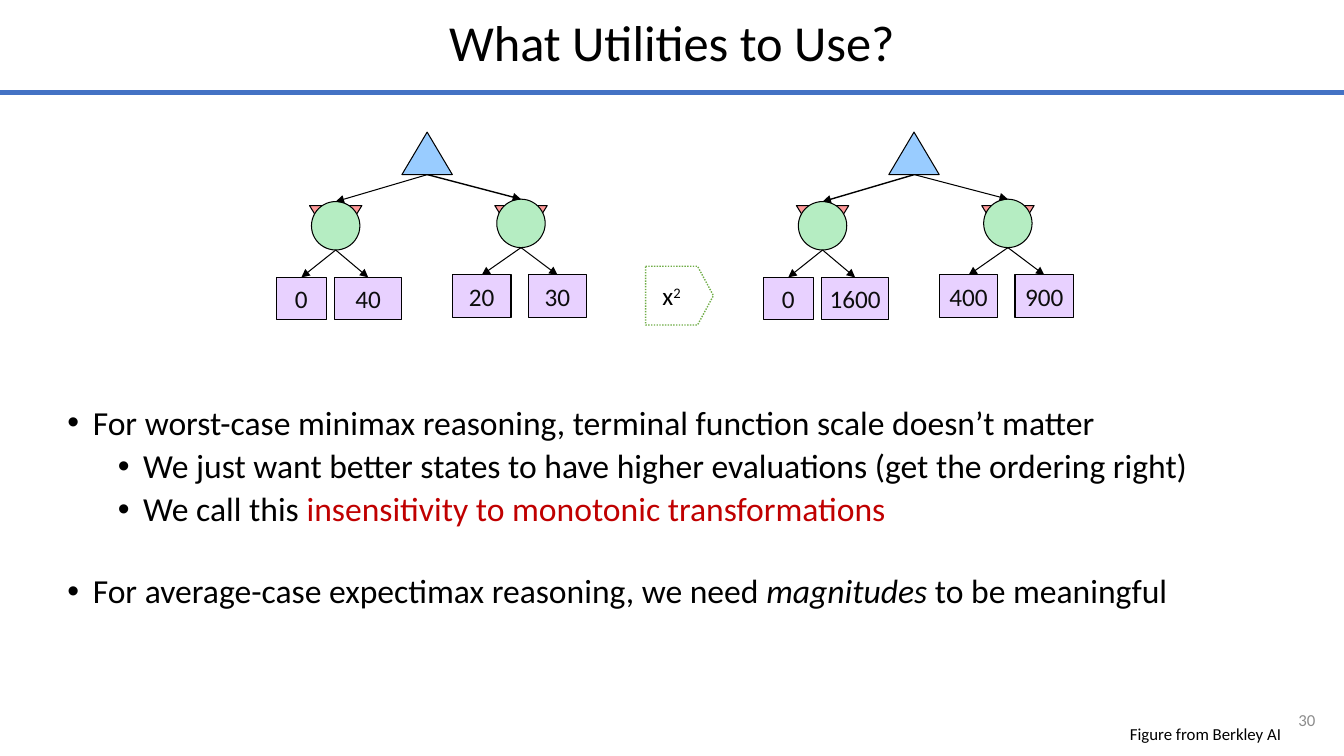
from lxml.etree import SubElement
from pptx import Presentation
from pptx.dml.color import RGBColor
from pptx.enum.dml import MSO_LINE
from pptx.enum.shapes import MSO_CONNECTOR, MSO_SHAPE
from pptx.enum.text import MSO_ANCHOR, PP_ALIGN
from pptx.oxml.ns import qn
from pptx.util import Cm, Pt

COLORS = {
    "black": "000000",
    "leaf text": "0D0D0D",
    "gray": "8C8C8C",
    "red": "C00000",
    "rule": "4472C4",
    "max": "99CCFF",
    "min": "FF9999",
    "chance": "B5EDC2",
    "leaf": "E8D1FF",
    "white": "FFFFFF",
    "green": "70AD47",
}
SLIDE_WIDTH, SLIDE_HEIGHT = 33.87, 19.05
TREE_STEP = 12.27
NODE_SIZE = 1.22
BOX_HEIGHT = 1.07
LEAF_DROP = 1.91
ROOT_X, ROOT_BOTTOM = 10.77, 4.4
# Per node: centre x, top, then (left, width) of each leaf
NODES = [
    (8.46, 5.08, [(6.96, 1.27), (8.43, 1.7)]),
    (13.13, 5.02, [(11.4, 1.48), (13.31, 1.48)]),
]


def rgb(name):
    return RGBColor.from_string(COLORS[name])


def write(paragraph, text, size=18, color="black", italic=False, baseline=None):
    run = paragraph.add_run()
    run.text = text
    run.font.name = "Calibri"
    run.font.size = Pt(size)
    run.font.italic = italic
    run.font.color.rgb = rgb(color)
    if baseline:
        run.font._element.set("baseline", str(baseline * 1000))


def add_text_box(slide, left, top, width, height, anchor=MSO_ANCHOR.TOP):
    text_box = slide.shapes.add_textbox(Cm(left), Cm(top), Cm(width), Cm(height))
    text_frame = text_box.text_frame
    text_frame.word_wrap = True
    text_frame.vertical_anchor = anchor
    return text_frame


def add_label(slide, text, box, align, size, color="black", anchor=MSO_ANCHOR.MIDDLE):
    paragraph = add_text_box(slide, *box, anchor=anchor).paragraphs[0]
    paragraph.alignment = align
    paragraph.line_spacing = 0.9
    write(paragraph, text, size, color)


def add_box(slide, kind, left, top, width, height, fill, line="black", line_width=0.75):
    shape = slide.shapes.add_shape(kind, Cm(left), Cm(top), Cm(width), Cm(height))
    shape.shadow.inherit = False
    shape.fill.solid()
    shape.fill.fore_color.rgb = rgb(fill)
    shape.line.color.rgb = rgb(line)
    shape.line.width = Pt(line_width)
    return shape


def add_line(slide, start, end, color="black", width=0.75, arrow=True):
    points = [Cm(value) for value in (*start, *end)]
    connector = slide.shapes.add_connector(MSO_CONNECTOR.STRAIGHT, *points)
    connector.line.color.rgb = rgb(color)
    connector.line.width = Pt(width)
    if arrow:
        SubElement(connector.line._get_or_add_ln(), qn("a:tailEnd"), type="triangle")
    SubElement(connector._element.spPr, qn("a:effectLst"))


def add_leaf(slide, value, left, top, width):
    leaf = add_box(slide, MSO_SHAPE.RECTANGLE, left, top, width, BOX_HEIGHT, "leaf")
    leaf.text_frame.word_wrap = False
    leaf.text_frame.vertical_anchor = MSO_ANCHOR.MIDDLE
    paragraph = leaf.text_frame.paragraphs[0]
    paragraph.alignment = PP_ALIGN.CENTER
    write(paragraph, value, color="leaf text")


def add_tree(slide, offset, values, heavy_branch):
    """Draw a two-level game tree; heavy_branch is the node whose arrow is wider."""
    root_x = ROOT_X + offset
    for index, (node_x, top, leaves) in enumerate(NODES):
        center = node_x + offset
        minimum = add_box(slide, MSO_SHAPE.ISOSCELES_TRIANGLE,
                          center - 0.66, 5.18, 1.32, BOX_HEIGHT, "min")
        minimum.rotation = 180
        add_box(slide, MSO_SHAPE.OVAL, center - NODE_SIZE / 2, top,
                NODE_SIZE, NODE_SIZE, "chance")
        leaf_top = top + LEAF_DROP
        for value, (left, width) in zip(values[index], leaves):
            add_leaf(slide, value, left + offset, leaf_top, width)
            add_line(slide, (center, top + NODE_SIZE),
                     (left + offset + width / 2, leaf_top))
        add_line(slide, (root_x, ROOT_BOTTOM), (center, top),
                 width=1 if index == heavy_branch else 0.75)
    add_box(slide, MSO_SHAPE.ISOSCELES_TRIANGLE, root_x - 0.64,
            ROOT_BOTTOM - BOX_HEIGHT, 1.27, BOX_HEIGHT, "max")


def add_square_arrow(slide):
    arrow = add_box(slide, MSO_SHAPE.RIGHT_ARROW, 16.27, 6.71, 1.71, 1.48,
                    "white", "green", 1)
    arrow.adjustments[0] = 1
    arrow.adjustments[1] = 0.27
    arrow.line.dash_style = MSO_LINE.ROUND_DOT
    arrow.text_frame.vertical_anchor = MSO_ANCHOR.MIDDLE
    paragraph = arrow.text_frame.paragraphs[0]
    paragraph.alignment = PP_ALIGN.CENTER
    write(paragraph, "x")
    write(paragraph, "2", baseline=30)


def add_bullet(paragraph, runs, level, space_before):
    properties = paragraph._p.get_or_add_pPr()
    properties.set("marL", str(Cm(0.64 + 1.27 * level)))
    properties.set("indent", str(-Cm(0.64)))
    paragraph.level = level
    paragraph.line_spacing = 0.9
    paragraph.space_before = Pt(space_before)
    SubElement(properties, qn("a:buFont"), typeface="Arial")
    SubElement(properties, qn("a:buChar"), char="•")
    for text, text_format in runs:
        write(paragraph, text, size=24, **text_format)


def add_bullets(slide):
    bullets = [
        (0, 0, [("For worst-case minimax reasoning, terminal function scale "
                 "doesn’t matter", {})]),
        (1, 5, [("We just want better states to have higher evaluations "
                 "(get the ordering right)", {})]),
        (1, 5, [("We call this ", {}),
                ("insensitivity to monotonic transformations", {"color": "red"})]),
        (0, 32.5, [("For average-case expectimax reasoning, we need ", {}),
                   ("magnitudes", {"italic": True}),
                   (" to be meaningful", {})]),
    ]
    text_frame = add_text_box(slide, 1.45, 10.11, 30.68, 6.55)
    for index, (level, space_before, runs) in enumerate(bullets):
        paragraph = text_frame.add_paragraph() if index else text_frame.paragraphs[0]
        add_bullet(paragraph, runs, level, space_before)


def main():
    presentation = Presentation()
    presentation.slide_width = Cm(SLIDE_WIDTH)
    presentation.slide_height = Cm(SLIDE_HEIGHT)
    slide = presentation.slides.add_slide(presentation.slide_layouts[6])

    add_label(slide, "What Utilities to Use?", (0, -0.05, SLIDE_WIDTH, 2.39),
              PP_ALIGN.CENTER, 36)
    add_line(slide, (0, 2.34), (SLIDE_WIDTH, 2.34), "rule", 3.75, arrow=False)
    add_tree(slide, 0, [("0", "40"), ("20", "30")], heavy_branch=1)
    add_square_arrow(slide)
    add_tree(slide, TREE_STEP, [("0", "1600"), ("400", "900")], heavy_branch=0)
    add_bullets(slide)
    add_label(slide, "Figure from Berkley AI", (27.51, 18.16, 5.03, 0.69),
              PP_ALIGN.RIGHT, 12, anchor=MSO_ANCHOR.TOP)
    add_label(slide, "30", (31.67, 17.65, 1.73, 1.02), PP_ALIGN.RIGHT, 12, "gray")
    presentation.save("out.pptx")


if __name__ == "__main__":
    main()
